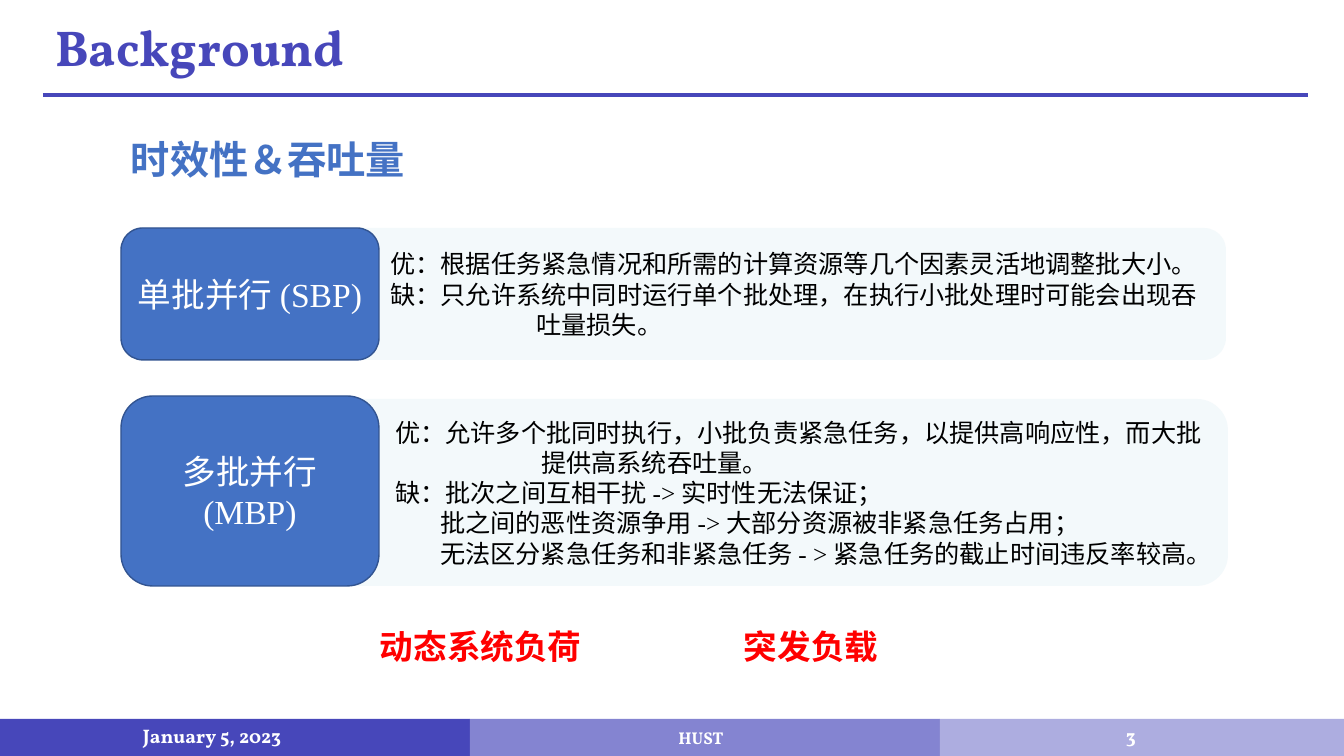
from dataclasses import dataclass

import pptx
import pptx.dml.color
import pptx.enum.shapes
import pptx.enum.text
import pptx.oxml
import pptx.oxml.ns
import pptx.util

SCALE = 914400 / 100.8  # EMU in one px
BLUE, NAVY, WHITE, BLACK, RED = "4472C4", "4747BA", "FFFFFF", "000000", "FF0000"
PALE, EDGE = "F3F9FB", "325491"
SERIF, HEAD, HAN = "Times New Roman", "Vollkorn", "Noto Sans CJK SC"
SHAPE = pptx.enum.shapes.MSO_SHAPE
ALIGN = pptx.enum.text.PP_ALIGN
ANCHOR = pptx.enum.text.MSO_ANCHOR


@dataclass
class Font:
    name: str
    size: float
    color: str
    bold: bool = False


@dataclass
class Label:
    text: str
    box: tuple[int, int, int, int]
    font: Font
    align: int = ALIGN.LEFT
    anchor: int = ANCHOR.TOP
    wrap: bool = True


@dataclass
class Item:
    text: str
    left: int = 99
    hang: int = 0


@dataclass
class Card:
    name: str
    tag: tuple[int, int, int, int]
    panel: tuple[int, int, int, int]
    items: list[Item]


def px(n: int) -> int:
    return round(n * SCALE)


def rgb(code: str) -> pptx.dml.color.RGBColor:
    return pptx.dml.color.RGBColor.from_string(code)


def style(para, font: Font, align: int = ALIGN.LEFT) -> None:
    para.alignment = align
    for run in para.runs:
        run.font.name = font.name
        run.font.size = pptx.util.Pt(font.size)
        run.font.bold = font.bold
        run.font.color.rgb = rgb(font.color)
        east = pptx.oxml.parse_xml(
            f'<a:ea {pptx.oxml.ns.nsdecls("a")} typeface="{HAN}"/>')
        run.font._element.find(pptx.oxml.ns.qn("a:latin")).addnext(east)


def write(shape, label: Label) -> None:
    frame = shape.text_frame
    frame.text = label.text
    frame.word_wrap = label.wrap
    frame.vertical_anchor = label.anchor
    style(frame.paragraphs[0], label.font, label.align)


def add_label(slide, label: Label) -> None:
    write(slide.shapes.add_textbox(*map(px, label.box)), label)


def add_block(slide, kind: int, box: tuple[int, int, int, int], fill: str, edge: str = ""):
    block = slide.shapes.add_shape(kind, *map(px, box))
    block.shadow.inherit = False
    block.fill.solid()
    block.fill.fore_color.rgb = rgb(fill)
    if edge:
        block.line.color.rgb = rgb(edge)
        block.line.width = pptx.util.Pt(1)
    else:
        block.line.fill.background()
    return block


def add_card(slide, card: Card) -> None:
    panel = add_block(slide, SHAPE.ROUNDED_RECTANGLE, card.panel, PALE)
    frame = panel.text_frame
    frame.text = "\n".join(item.text for item in card.items)
    frame.word_wrap = True
    frame.vertical_anchor = ANCHOR.MIDDLE
    for para, item in zip(frame.paragraphs, card.items):
        props = para._p.get_or_add_pPr()
        props.set("marL", str(px(item.left + item.hang)))
        props.set("indent", str(-px(item.hang)))
        style(para, Font(SERIF, 18, BLACK))
    tag = add_block(slide, SHAPE.ROUNDED_RECTANGLE, card.tag, BLUE, EDGE)
    write(tag, Label(card.name, card.tag, Font(SERIF, 24, WHITE),
                     ALIGN.CENTER, ANCHOR.MIDDLE))


def add_rule(slide, left: int, right: int, y: int) -> None:
    rule = slide.shapes.add_connector(
        pptx.enum.shapes.MSO_CONNECTOR.STRAIGHT, px(left), px(y), px(right), px(y))
    rule.line.color.rgb = rgb(NAVY)
    rule.line.width = pptx.util.Pt(3)
    rule._element.spPr.append(
        pptx.oxml.parse_xml(f'<a:effectLst {pptx.oxml.ns.nsdecls("a")}/>'))


HANG = 146
CARDS = [
    Card("单批并行 (SBP)", (121, 228, 258, 132), (275, 228, 951, 132), [
        Item("优：根据任务紧急情况和所需的计算资源等几个因素灵活地调整批大小。"),
        Item("缺：只允许系统中同时运行单个批处理，在执行小批处理时可能会出现吞吐量损失。",
             hang=HANG),
    ]),
    Card("多批并行(MBP)", (121, 396, 258, 190), (277, 399, 951, 187), [
        Item("优：允许多个批同时执行，小批负责紧急任务，以提供高响应性，而大批提供高系统吞吐量。",
             hang=HANG),
        Item("缺：批次之间互相干扰 -> 实时性无法保证；"),
        Item("批之间的恶性资源争用 -> 大部分资源被非紧急任务占用；", left=144),
        Item("无法区分紧急任务和非紧急任务 - > 紧急任务的截止时间违反率较高。", left=144),
    ]),
]
FOOT = Font(HEAD, 14, WHITE, True)
ALERT = Font(HAN, 24, RED, True)
LABELS = [
    Label("时效性＆吞吐量", (121, 130, 411, 57), Font(HAN, 28, BLUE, True)),
    Label("动态系统负荷", (370, 621, 224, 50), ALERT, wrap=False),
    Label("突发负载", (734, 621, 156, 50), ALERT, wrap=False),
    Label("January 5, 2023", (133, 716, 204, 40), FOOT, anchor=ANCHOR.MIDDLE),
    Label("HUST", (452, 723, 498, 30), Font(HEAD, 12.2, WHITE, True),
          ALIGN.CENTER, ANCHOR.MIDDLE),
    Label("3", (1086, 706, 90, 60), FOOT, ALIGN.CENTER, ANCHOR.MIDDLE),
]
BANDS = [(0, 470, NAVY), (470, 470, "8484D1"), (940, 404, "ADADE0")]


def main() -> None:
    deck = pptx.Presentation()
    deck.slide_width, deck.slide_height = px(1344), px(756)
    slide = deck.slides.add_slide(deck.slide_layouts[5])

    # Title and rule
    title = slide.shapes.title
    box = (45, 18, 750, 65)
    title.left, title.top, title.width, title.height = map(px, box)
    write(title, Label("Background", box, Font(HEAD, 36, NAVY, True)))
    title.text_frame.auto_size = pptx.enum.text.MSO_AUTO_SIZE.NONE
    title.text_frame.paragraphs[0].line_spacing = 0.9
    add_rule(slide, 43, 1308, 95)

    # Footer bands
    for left, width, fill in BANDS:
        add_block(slide, SHAPE.RECTANGLE, (left, 719, width, 37), fill)

    # Cards and labels
    for card in CARDS:
        add_card(slide, card)
    for label in LABELS:
        add_label(slide, label)

    deck.save("out.pptx")


if __name__ == "__main__":
    main()
